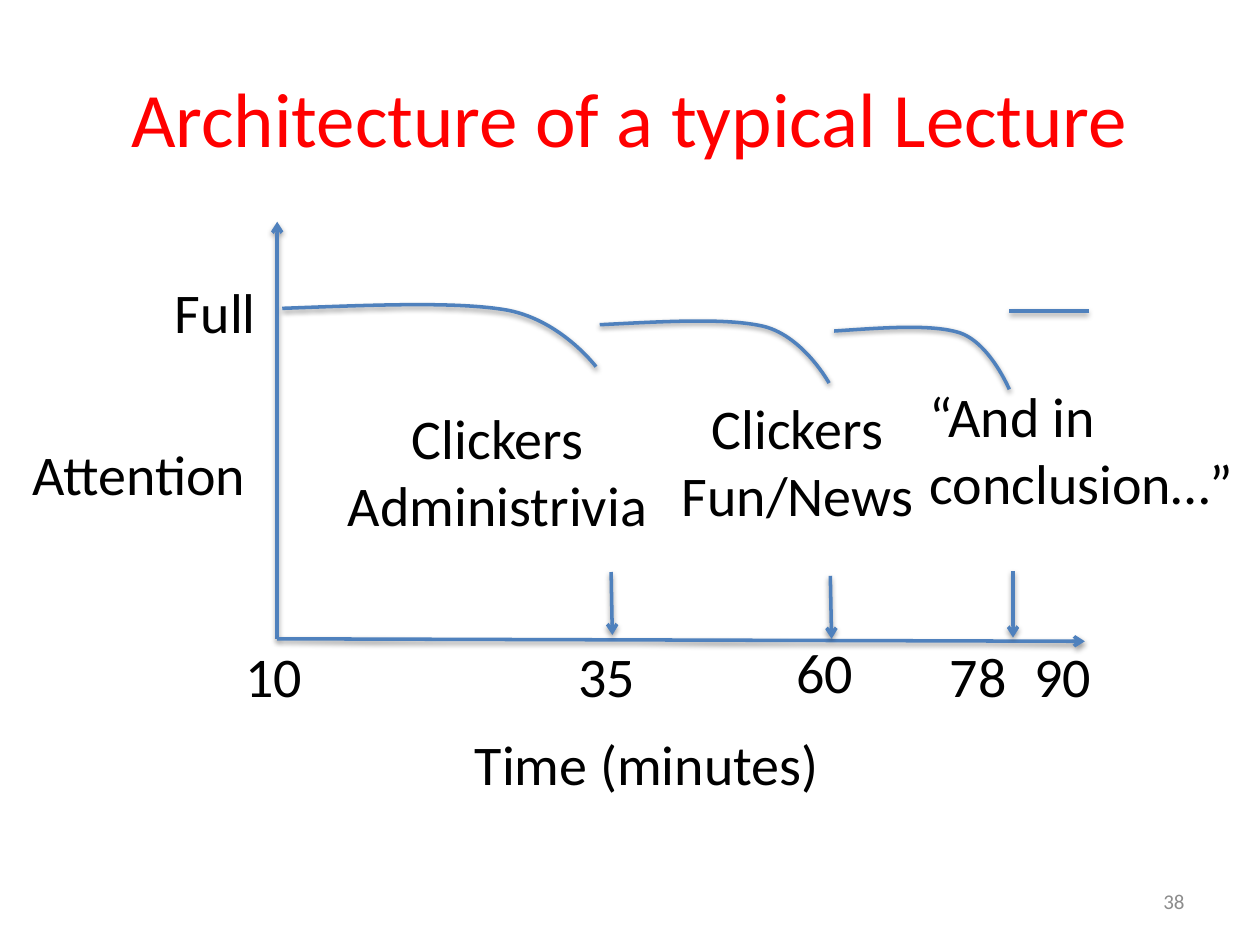
from lxml import etree
from pptx import Presentation
from pptx.dml.color import RGBColor
from pptx.enum.shapes import MSO_CONNECTOR
from pptx.enum.text import MSO_ANCHOR, MSO_AUTO_SIZE, PP_ALIGN
from pptx.oxml.ns import qn
from pptx.util import Inches, Pt

STRAIGHT = MSO_CONNECTOR.STRAIGHT
LEFT, CENTER, RIGHT = PP_ALIGN.LEFT, PP_ALIGN.CENTER, PP_ALIGN.RIGHT
MIDDLE = MSO_ANCHOR.MIDDLE
FIT, FIXED = MSO_AUTO_SIZE.SHAPE_TO_FIT_TEXT, MSO_AUTO_SIZE.NONE
RED = RGBColor(0xFF, 0x00, 0x00)
BLACK = RGBColor(0x00, 0x00, 0x00)
GRAY = RGBColor(0x8C, 0x8C, 0x8C)
BLUE = RGBColor(0x4F, 0x81, 0xBD)

COLUMNS, ROWS = 100, 75
DECLINE = [(0, 0.11), (0.28, 0.06), (0.56, 0), (0.72, 0.14),
           (0.89, 0.3), (1, 1), (1, 1)]


class LectureSlide:
    font = "Calibri"
    label_size = 32

    def __init__(self, prs):
        self.slide = prs.slides.add_slide(prs.slide_layouts[5])
        self.column = prs.slide_width / COLUMNS
        self.row = prs.slide_height / ROWS

    def place(self, x, y):
        return round(x * self.column), round(y * self.row)

    def group(self):
        return self.slide.shapes.add_group_shape().shapes

    def set_text(self, frame, text, size, color, align):
        frame.text = text
        for paragraph in frame.paragraphs:
            paragraph.alignment = align
            paragraph.font.name = self.font
            paragraph.font.size = Pt(size)
            paragraph.font.color.rgb = color

    def title(self, text, x, y, width, height):
        title = self.slide.shapes.title
        title.left, title.top = self.place(x, y)
        title.width, title.height = self.place(width, height)
        title.text_frame.vertical_anchor = MIDDLE
        self.set_text(title.text_frame, text, 44, RED, CENTER)

    def label(self, text, x, y, width, height=6.4, align=LEFT, parent=None):
        shapes = parent or self.slide.shapes
        frame = shapes.add_textbox(*self.place(x, y), *self.place(width, height)).text_frame
        frame.word_wrap = False
        frame.auto_size = FIT
        self.set_text(frame, text, self.label_size, BLACK, align)

    def page_number(self, text, x, y, width, height):
        frame = self.slide.shapes.add_textbox(
            *self.place(x, y), *self.place(width, height)).text_frame
        frame.word_wrap = True
        frame.auto_size = FIXED
        frame.vertical_anchor = MIDDLE
        self.set_text(frame, text, 12, GRAY, RIGHT)

    def stroke(self, shape, arrow=False):
        shape.line.color.rgb = BLUE
        shape.line.width = Pt(2)
        properties = shape._element.spPr
        if arrow:
            etree.SubElement(properties.find(qn("a:ln")), qn("a:tailEnd"), type="arrow")
        effects = etree.SubElement(properties, qn("a:effectLst"))
        shadow = etree.SubElement(
            effects, qn("a:outerShdw"), blurRad=str(Pt(3.1)), dist=str(Pt(1.6)),
            dir="5400000", rotWithShape="0")
        shade = etree.SubElement(shadow, qn("a:srgbClr"), val=str(BLACK))
        etree.SubElement(shade, qn("a:alpha"), val="38000")

    def line(self, start, end, arrow=True, parent=None):
        shapes = parent or self.slide.shapes
        self.stroke(shapes.add_connector(STRAIGHT, *self.place(*start), *self.place(*end)), arrow)

    def attention_curve(self, x, y, width, height=5.2):
        points = [self.place(x + u * width, y + v * height) for u, v in DECLINE]
        builder = self.slide.shapes.build_freeform(*points[0])
        builder.add_line_segments(points[1:], close=False)
        curve = builder.convert_to_shape()
        outline = curve._element.spPr.find(".//" + qn("a:path"))
        segments = outline.findall(qn("a:lnTo"))
        for first in range(0, len(segments), 3):
            bezier = etree.SubElement(outline, qn("a:cubicBezTo"))
            for segment in segments[first:first + 3]:
                bezier.append(segment[0])
                outline.remove(segment)
        curve.fill.background()
        self.stroke(curve)

    def break_note(self, text, x, y, width, align, start, end):
        note = self.group()
        self.label(text, x, y, width, 11.8, align, note)
        self.line(start, end, parent=note)


def main():
    prs = Presentation()
    prs.slide_width, prs.slide_height = Inches(10), Inches(7.5)
    lecture = LectureSlide(prs)

    lecture.title("Architecture of a typical Lecture", 5, 3, 90, 12.5)
    lecture.page_number("38", 71.7, 69.5, 23.3, 4)

    lecture.label("Attention", 1.6, 34.4, 19.3)
    lecture.label("Time (minutes)", 36.7, 57.4, 29.6)
    lecture.label("Full", 12.9, 21.5, 8.5)

    origin = (22, 50.7)
    lecture.line(origin, (22, 17.6))
    lecture.line(origin, (86.1, 50.9))
    for minute, x, y in [("10", 18.5, 50.4), ("35", 44.9, 50.4), ("60", 62.2, 50.1),
                         ("78", 74.4, 50.4), ("90", 81.1, 50.4)]:
        lecture.label(minute, x, y, 6.6)

    for x, y, width in [(22.4, 23.9, 24.9), (47.6, 25.2, 18.2), (66.2, 25.7, 13.9)]:
        lecture.attention_curve(x, y, width)
    lecture.line((80.1, 24.7), (86.4, 24.7), arrow=False)

    lecture.break_note("Clickers\vAdministrivia", 26.5, 31.5, 26, CENTER,
                       (48.5, 45.4), (48.6, 50.4))
    lecture.break_note("“And in \vconclusion…”", 72.8, 29.8, 26.4, LEFT,
                       (80.4, 45.3), (80.4, 50.6))
    lecture.break_note("Clickers\nFun/News", 53, 30.7, 20.6, CENTER,
                       (65.9, 45.7), (66, 50.7))

    prs.save("out.pptx")


if __name__ == "__main__":
    main()
